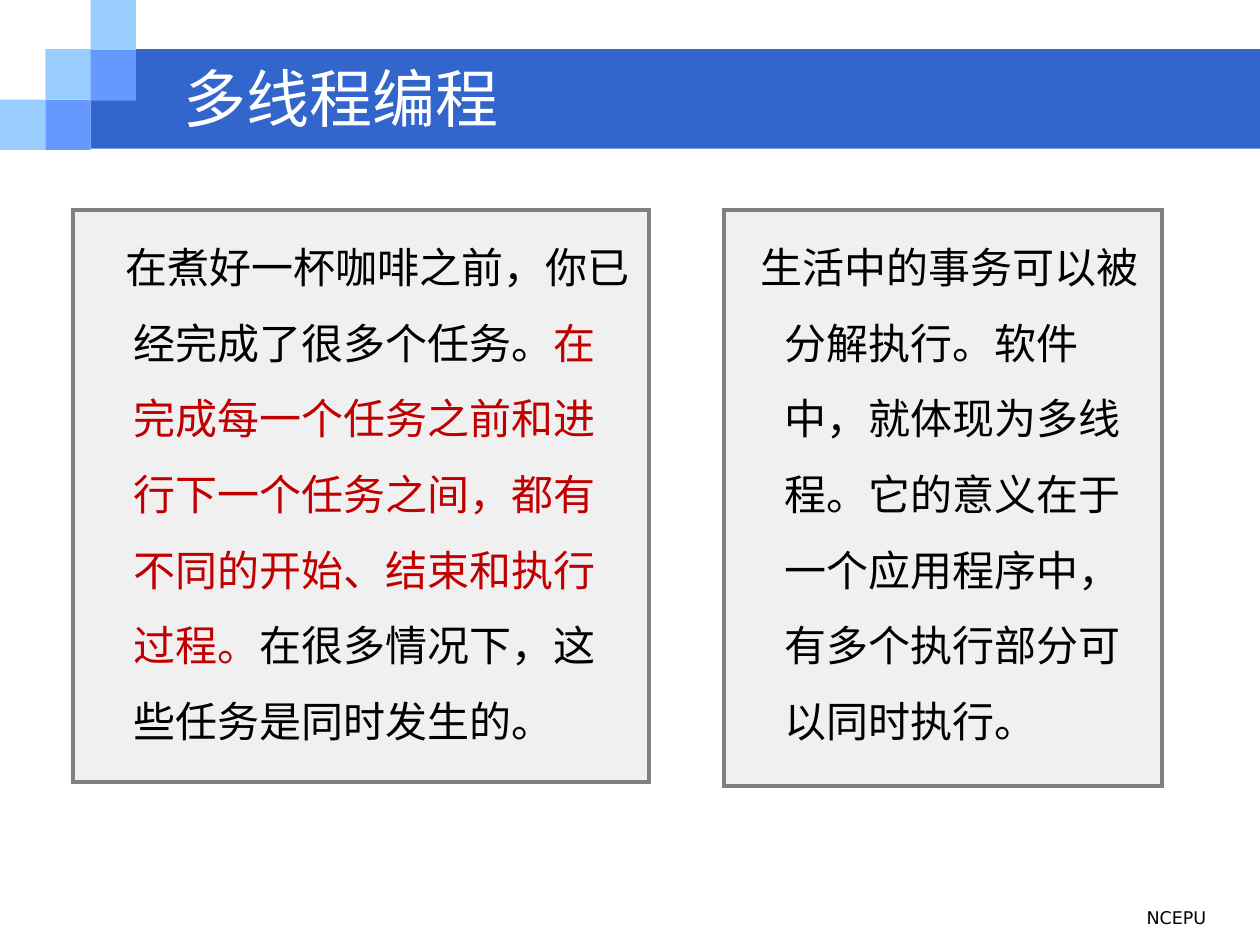
from dataclasses import dataclass

from lxml.etree import SubElement
from pptx import Presentation
from pptx.dml.color import RGBColor
from pptx.enum.shapes import MSO_SHAPE
from pptx.enum.text import MSO_ANCHOR, MSO_AUTO_SIZE, PP_ALIGN
from pptx.oxml.ns import qn
from pptx.util import Inches, Pt


@dataclass(frozen=True)
class Theme:
    band: str = "3366CC"
    light_tile: str = "99CCFF"
    dark_tile: str = "6699FF"
    panel: str = "F0F0F0"
    border: str = "808080"
    text: str = "000000"
    accent: str = "C00000"
    title: str = "FFFFFF"
    chinese_font: str = "Noto Sans CJK SC"
    footer_font: str = "DejaVu Sans"
    title_size: int = 36
    body_size: int = 24
    footer_size: int = 10


theme = Theme()


def add_rectangle(left, top, width, height, fill):
    box = page.shapes.add_shape(
        MSO_SHAPE.RECTANGLE, Inches(left), Inches(top), Inches(width), Inches(height)
    )
    box.shadow.inherit = False
    box.fill.solid()
    box.fill.fore_color.rgb = RGBColor.from_string(fill)
    box.line.fill.background()
    return box


def style_span(span, font, size, color):
    span.font.name = font
    span.font.size = Pt(size)
    span.font.color.rgb = RGBColor.from_string(color)
    SubElement(span.font._element, qn("a:ea")).set("typeface", font)


deck = Presentation()
deck.slide_width = Inches(10)
deck.slide_height = Inches(7.5)
page = deck.slides.add_slide(deck.slide_layouts[5])

tile_width, tile_height = 0.36, 0.4
add_rectangle(2 * tile_width, 0.39, 10 - 2 * tile_width, 0.79, theme.band)
tiles = [
    (0, 0.79, theme.light_tile),
    (1, 0.39, theme.light_tile),
    (2, 0, theme.light_tile),
    (2, 0.4, theme.dark_tile),
    (1, 0.79, theme.dark_tile),
]
for column, top, color in tiles:
    add_rectangle(column * tile_width, top, tile_width, tile_height, color)

footer = page.shapes.add_textbox(Inches(6.5), Inches(7.15), Inches(3.17), Inches(0.35))
footer.text_frame.word_wrap = True
footer.text_frame.text = "NCEPU"
footer_para = footer.text_frame.paragraphs[0]
footer_para.alignment = PP_ALIGN.RIGHT
style_span(footer_para.runs[0], theme.footer_font, theme.footer_size, theme.text)

panels = [
    (0.58, 4.57, 4.54, -0.06, [
        ("在煮好一杯咖啡之前，你已经完成了很多个任务。", theme.text),
        ("在完成每一个任务之前和进行下一个任务之间，都有不同的开始、结束和执行过程。", theme.accent),
        ("在很多情况下，这些任务是同时发生的。", theme.text),
    ]),
    (5.75, 3.47, 4.57, -0.19, [
        ("生活中的事务可以被分解执行。软件中，就体现为多线程。"
         "它的意义在于一个应用程序中，有多个执行部分可以同时执行。", theme.text),
    ]),
]
for left, width, height, first_indent, passages in panels:
    panel = add_rectangle(left, 1.67, width, height, theme.panel)
    panel.line.color.rgb = RGBColor.from_string(theme.border)
    panel.line.width = Pt(2.25)
    SubElement(panel.line._ln, qn("a:miter")).set("lim", "800000")
    panel.text_frame.word_wrap = True
    panel.text_frame.vertical_anchor = MSO_ANCHOR.TOP
    para = panel.text_frame.paragraphs[0]
    para.alignment = PP_ALIGN.LEFT
    para.line_spacing = 1.5
    para_properties = para._p.get_or_add_pPr()
    para_properties.set("marL", str(Inches(0.38)))
    para_properties.set("indent", str(Inches(first_indent)))
    para_properties.set("hangingPunct", "0")
    for words, color in passages:
        span = para.add_run()
        span.text = words
        style_span(span, theme.chinese_font, theme.body_size, color)

title = page.shapes.title
title.left, title.top = Inches(1.36), Inches(0.42)
title.width, title.height = Inches(3.2), Inches(0.7)
title.text_frame.text = "多线程编程"
title.text_frame.word_wrap = True
title.text_frame.auto_size = MSO_AUTO_SIZE.NONE
title.text_frame.vertical_anchor = MSO_ANCHOR.TOP
title_para = title.text_frame.paragraphs[0]
title_para.alignment = PP_ALIGN.LEFT
style_span(title_para.runs[0], theme.chinese_font, theme.title_size, theme.title)
page.shapes._spTree.append(title._element)

deck.save("out.pptx")
